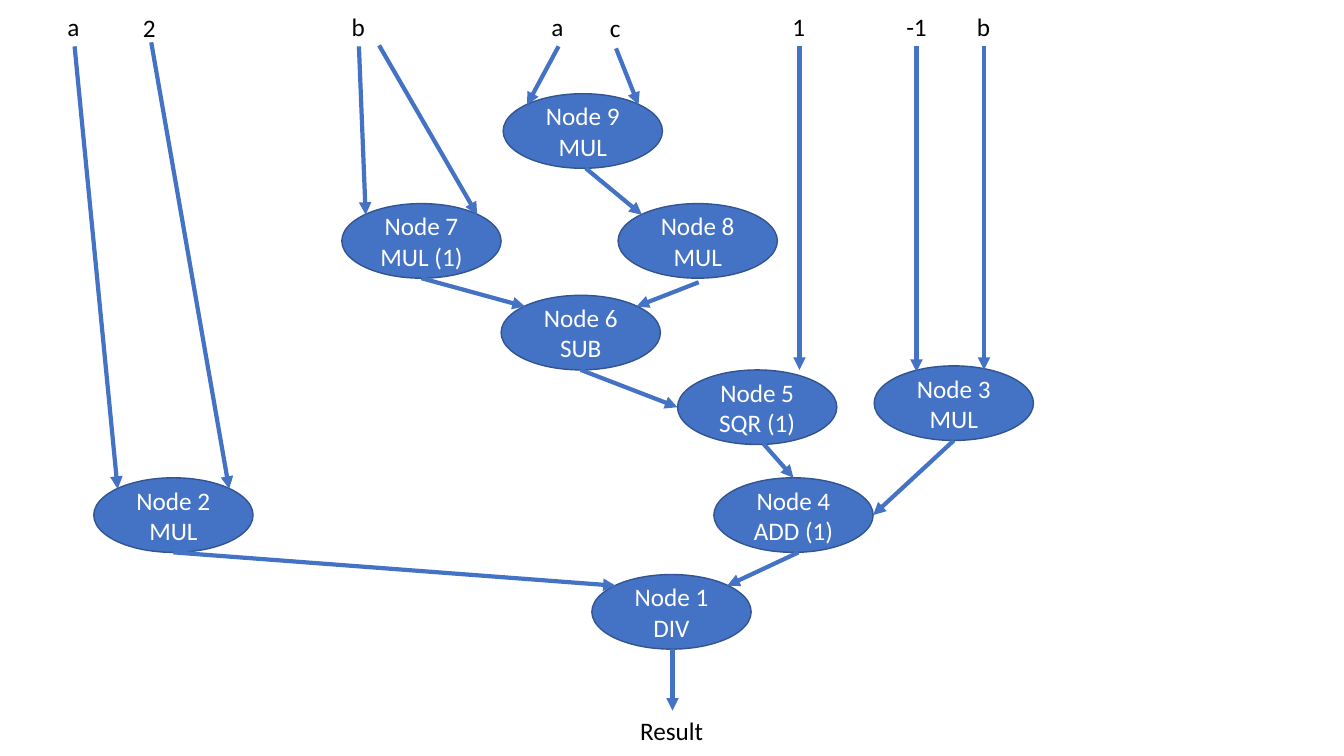
from typing import NamedTuple

from lxml import etree
from pptx import Presentation
from pptx import util as u
from pptx.dml import color
from pptx.enum import shapes, text
from pptx.oxml import ns

FONT, SIZE = "Calibri", 18
BLUE, OUTLINE, WHITE, BLACK = "4472C4", "325491", "FFFFFF", "000000"
NODE_WIDTH, NODE_HEIGHT = 1.58, 0.74
LABEL_HEIGHT = 0.4

# Points on a node's edge, as fractions of its width and height
SITES = {
    "top": (0.5, 0), "top left": (0.15, 0.15), "top right": (0.85, 0.15),
    "left": (0, 0.5), "right": (1, 0.5), "bottom": (0.5, 1),
}


class Point(NamedTuple):
    x: float
    y: float


class Node(NamedTuple):
    number: int
    operation: str
    left: float
    top: float

    def site(self, name: str) -> Point:
        """Return the named point on the edge of the node."""
        across, down = SITES[name]
        return Point(self.left + across * NODE_WIDTH, self.top + down * NODE_HEIGHT)


class Label(NamedTuple):
    caption: str
    left: float
    top: float
    width: float


class Arrow(NamedTuple):
    start: Point
    end: Point


NODES = {
    node.number: node
    for node in (
        Node(1, "DIV", 5.87, 5.7),
        Node(2, "MUL", 0.93, 4.74),
        Node(3, "MUL", 8.67, 3.63),
        Node(4, "ADD (1)", 7.08, 4.74),
        Node(5, "SQR (1)", 6.72, 3.67),
        Node(6, "SUB", 4.97, 2.93),
        Node(7, "MUL (1)", 3.39, 2.02),
        Node(8, "MUL", 6.13, 2.02),
        Node(9, "MUL", 4.99, 0.93),
    )
}

LABELS = [
    Label("a", 0.57, 0.06, 0.34),
    Label("2", 1.32, 0.07, 0.34),
    Label("b", 3.39, 0.06, 0.34),
    Label("a", 5.37, 0.06, 0.34),
    Label("c", 5.95, 0.07, 0.31),
    Label("1", 7.76, 0.06, 0.33),
    Label("-1", 8.89, 0.06, 0.41),
    Label("b", 9.59, 0.06, 0.34),
    Label("Result", 6.25, 7.05, 0.83),
]

INPUT_ARROWS = [
    Arrow(Point(0.74, 0.46), NODES[2].site("top left")),
    Arrow(Point(1.5, 0.42), NODES[2].site("top right")),
    Arrow(Point(3.56, 0.46), NODES[7].site("top left")),
    Arrow(Point(3.76, 0.45), NODES[7].site("top right")),
    Arrow(Point(5.54, 0.46), NODES[9].site("top left")),
    Arrow(Point(6.11, 0.48), NODES[9].site("top right")),
    Arrow(Point(7.93, 0.46), Point(7.93, 3.67)),
    Arrow(Point(9.09, 0.46), Point(9.09, 3.69)),
    Arrow(Point(9.76, 0.46), Point(9.76, 3.67)),
]

NODE_ARROWS = [
    Arrow(Point(5.81, 1.67), NODES[8].site("top left")),
    Arrow(Point(6.93, 2.8), NODES[6].site("top right")),
    Arrow(NODES[7].site("bottom"), NODES[6].site("top left")),
    Arrow(NODES[6].site("bottom"), NODES[5].site("left")),
    Arrow(Point(7.57, 4.4), NODES[4].site("top")),
    Arrow(NODES[3].site("bottom"), NODES[4].site("right")),
    Arrow(Point(7.92, 5.48), NODES[1].site("top right")),
    Arrow(NODES[2].site("bottom"), NODES[1].site("top left")),
    Arrow(Point(6.67, 6.44), Point(6.67, 7.05)),
]


def rgb(value: str) -> color.RGBColor:
    """Turn a hex string into a colour."""
    return color.RGBColor.from_string(value)


def write_lines(frame, lines: list[str], hex_color: str, alignment) -> None:
    """Write one paragraph per line in the slide's font."""
    frame.text = "\n".join(lines)
    for paragraph in frame.paragraphs:
        paragraph.alignment = alignment
        paragraph.font.name = FONT
        paragraph.font.size = u.Pt(SIZE)
        paragraph.font.color.rgb = rgb(hex_color)


def draw_node(slide, node: Node) -> None:
    """Draw an operation node as an ellipse with its number and operation."""
    shape = slide.shapes.add_shape(
        shapes.MSO_SHAPE.OVAL, u.Inches(node.left), u.Inches(node.top),
        u.Inches(NODE_WIDTH), u.Inches(NODE_HEIGHT))
    shape.shadow.inherit = False
    shape.fill.solid()
    shape.fill.fore_color.rgb = rgb(BLUE)
    shape.line.color.rgb = rgb(OUTLINE)
    shape.line.width = u.Pt(1)
    shape.text_frame.vertical_anchor = text.MSO_ANCHOR.MIDDLE
    write_lines(shape.text_frame, [f"Node {node.number}", node.operation],
                WHITE, text.PP_ALIGN.CENTER)


def draw_label(slide, label: Label) -> None:
    """Draw the name of an input or of the result."""
    box = slide.shapes.add_textbox(
        u.Inches(label.left), u.Inches(label.top),
        u.Inches(label.width), u.Inches(LABEL_HEIGHT))
    box.text_frame.word_wrap = False
    box.text_frame.auto_size = text.MSO_AUTO_SIZE.SHAPE_TO_FIT_TEXT
    write_lines(box.text_frame, [label.caption], BLACK, text.PP_ALIGN.LEFT)


def draw_arrow(slide, arrow: Arrow) -> None:
    """Draw a straight arrow with a triangular head."""
    connector = slide.shapes.add_connector(
        shapes.MSO_CONNECTOR.STRAIGHT,
        u.Inches(arrow.start.x), u.Inches(arrow.start.y),
        u.Inches(arrow.end.x), u.Inches(arrow.end.y))
    connector.line.color.rgb = rgb(BLUE)
    connector.line.width = u.Pt(3)
    properties = connector.element.spPr
    outline = properties.find(ns.qn("a:ln"))
    etree.SubElement(outline, ns.qn("a:tailEnd"), type="triangle")
    etree.SubElement(properties, ns.qn("a:effectLst"))


def main() -> None:
    """Build the computation graph slide."""
    presentation = Presentation()
    presentation.slide_width = u.Inches(13.33)
    presentation.slide_height = u.Inches(7.5)
    slide = presentation.slides.add_slide(presentation.slide_layouts[6])
    for node in NODES.values():
        draw_node(slide, node)
    for label in LABELS:
        draw_label(slide, label)
    for arrow in INPUT_ARROWS + NODE_ARROWS:
        draw_arrow(slide, arrow)
    presentation.save("out.pptx")


main()
